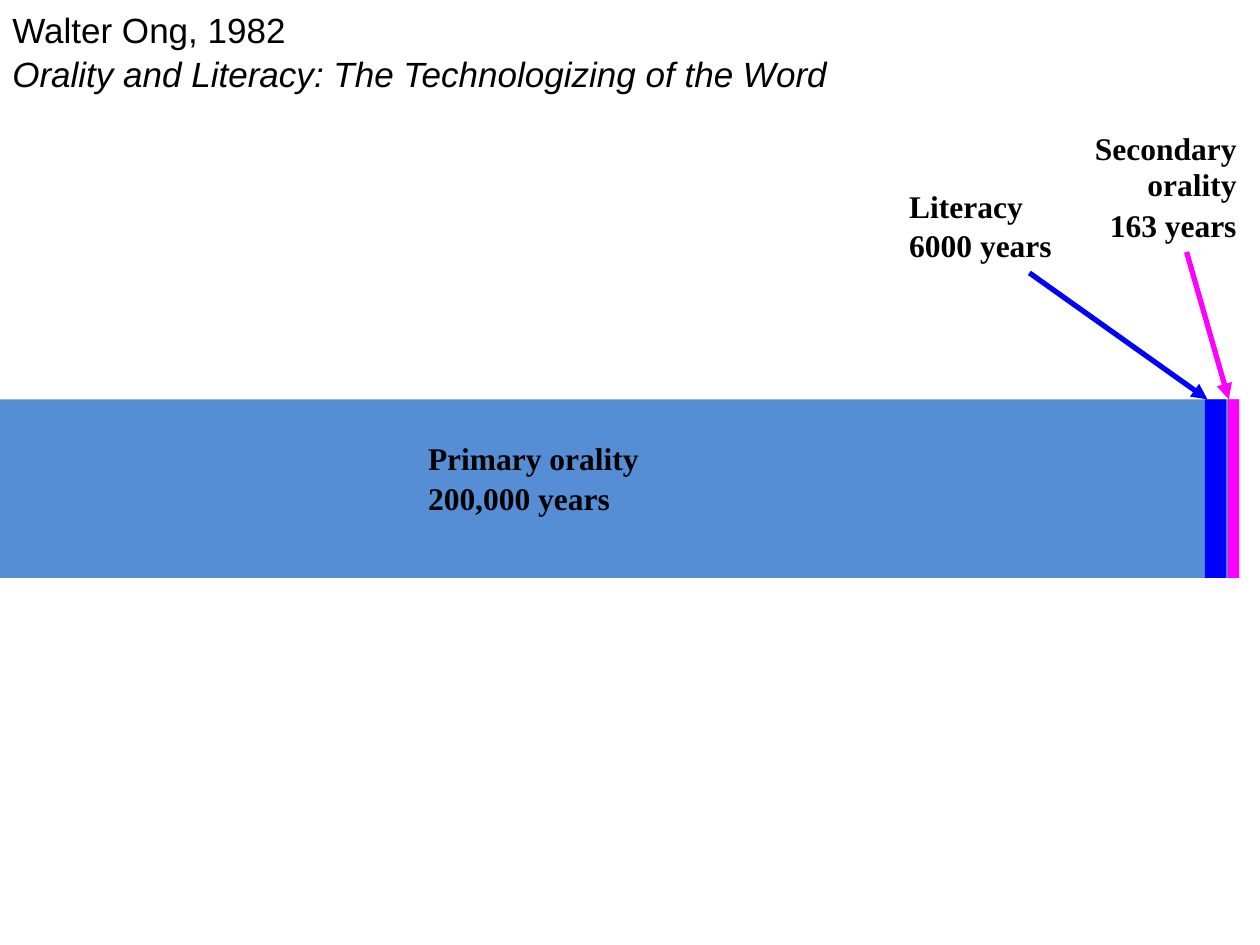
import pptx
import pptx.dml.color
import pptx.enum.shapes
import pptx.enum.text
import pptx.oxml.ns
import pptx.util
from lxml import etree

Cm = pptx.util.Cm
RGBColor = pptx.dml.color.RGBColor
Align = pptx.enum.text.PP_ALIGN

BLACK = RGBColor(0x00, 0x00, 0x00)
SKY = RGBColor(0x55, 0x8E, 0xD5)
BLUE = RGBColor(0x00, 0x00, 0xFF)
MAGENTA = RGBColor(0xFF, 0x00, 0xFF)

BAR_TOP = 8.05
BAR_HEIGHT = 3.6


def add_period(slide, left, width, color):
    shape = slide.shapes.add_shape(
        pptx.enum.shapes.MSO_SHAPE.RECTANGLE,
        Cm(left), Cm(BAR_TOP), Cm(width), Cm(BAR_HEIGHT))
    shape.shadow.inherit = False
    shape.fill.solid()
    shape.fill.fore_color.rgb = color
    shape.line.fill.background()


def add_text(slide, text, left, top, width, height, font="Times New Roman",
             size=18, bold=True, italic_lines=(), tight_lines=(),
             align=Align.LEFT, wrap=False):
    box = slide.shapes.add_textbox(Cm(left), Cm(top), Cm(width), Cm(height))
    frame = box.text_frame
    frame.word_wrap = wrap
    frame.text = text
    for index, paragraph in enumerate(frame.paragraphs):
        paragraph.alignment = align
        paragraph.line_spacing = 0.95 if index in tight_lines else 1.05
        for run in paragraph.runs:
            run.font.name = font
            run.font.size = pptx.util.Pt(size)
            run.font.bold = bold
            run.font.italic = index in italic_lines
            run.font.color.rgb = BLACK


def add_arrow(slide, start, end, color):
    connector = slide.shapes.add_connector(
        pptx.enum.shapes.MSO_CONNECTOR.STRAIGHT,
        Cm(start[0]), Cm(start[1]), Cm(end[0]), Cm(end[1]))
    connector.line.color.rgb = color
    connector.line.width = pptx.util.Pt(3)
    qualify = pptx.oxml.ns.qn
    etree.SubElement(connector.line._get_or_add_ln(),
                     qualify("a:tailEnd"), type="triangle")
    etree.SubElement(connector._element.spPr, qualify("a:effectLst"))


def main():
    presentation = pptx.Presentation()
    presentation.slide_width = Cm(25.4)
    presentation.slide_height = Cm(19.05)
    slide = presentation.slides.add_slide(presentation.slide_layouts[6])

    add_period(slide, 0, 24.98, SKY)
    add_period(slide, 24.76, 0.22, MAGENTA)
    add_period(slide, 24.29, 0.43, BLUE)

    add_text(slide, "Walter Ong, 1982\nOrality and Literacy: "
             "The Technologizing of the Word", 0, 0, 20.75, 1.96,
             font="Arial", size=20, bold=False, italic_lines=(1,), wrap=True)
    add_text(slide, "Secondary\norality\n163 years", 21.82, 2.54, 3.36, 2.39,
             align=Align.RIGHT, tight_lines=(0, 1))
    add_text(slide, "Primary orality\n200,000 years", 8.38, 8.69, 4.75, 1.78)
    add_text(slide, "Literacy\n6000 years", 18.08, 3.6, 3.38, 1.78)

    add_arrow(slide, (23.92, 5.08), (24.77, BAR_TOP), MAGENTA)
    add_arrow(slide, (20.75, 5.5), (24.34, BAR_TOP), BLUE)

    presentation.save("out.pptx")


if __name__ == "__main__":
    main()
